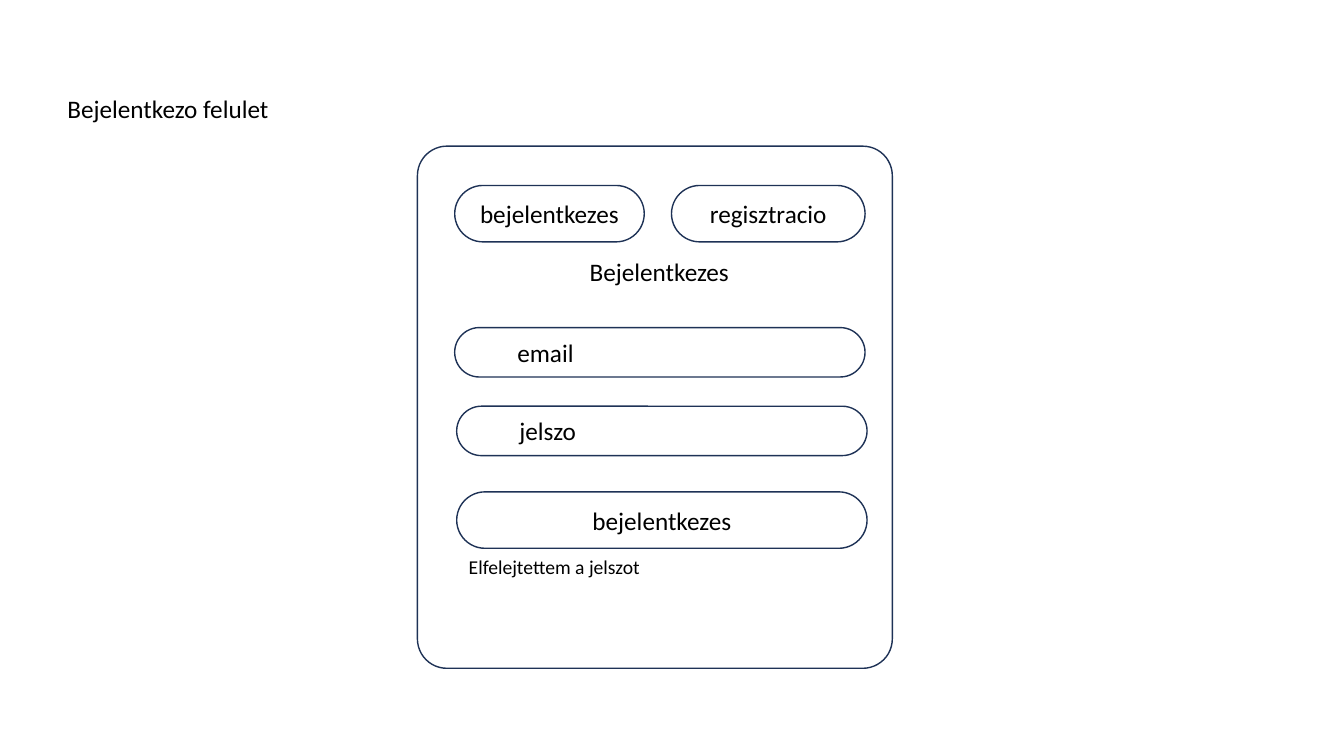
from dataclasses import dataclass

from pptx import Presentation
from pptx.dml.color import RGBColor
from pptx.enum.shapes import MSO_SHAPE
from pptx.enum.text import MSO_ANCHOR, MSO_AUTO_SIZE, PP_ALIGN
from pptx.slide import Slide
from pptx.text.text import TextFrame
from pptx.util import Inches, Pt

ROUNDED = MSO_SHAPE.ROUNDED_RECTANGLE
MIDDLE = MSO_ANCHOR.MIDDLE
FIT_SHAPE = MSO_AUTO_SIZE.SHAPE_TO_FIT_TEXT
LEFT = PP_ALIGN.LEFT
CENTER = PP_ALIGN.CENTER


@dataclass(frozen=True)
class Theme:
    font: str = "Calibri"
    body_size: int = 18
    small_size: int = 14
    line_width: int = 1
    text: RGBColor = RGBColor(0x00, 0x00, 0x00)
    fill: RGBColor = RGBColor(0xFF, 0xFF, 0xFF)
    outline: RGBColor = RGBColor(0x1E, 0x32, 0x56)


THEME = Theme()


@dataclass(frozen=True)
class Box:
    left: float
    top: float
    width: float
    height: float
    text: str = ""
    align: PP_ALIGN = CENTER
    left_margin: float = 0.1
    rounding: float = 0.5


@dataclass(frozen=True)
class Label:
    left: float
    top: float
    width: float
    height: float
    text: str
    size: int = THEME.body_size
    wrap: bool = False


BUTTON_HEIGHT = 0.56
FIELD_HEIGHT = 0.49
FULL_WIDTH = 4.07
FIELD_MARGIN = 0.55

BOXES = [
    Box(4.14, 1.45, 4.71, 5.18, rounding=0.062),
    Box(4.51, 1.84, 1.88, BUTTON_HEIGHT, "bejelentkezes"),
    Box(6.66, 1.84, 1.92, BUTTON_HEIGHT, "regisztracio"),
    Box(4.51, 3.25, FULL_WIDTH, FIELD_HEIGHT, "email", LEFT, FIELD_MARGIN),
    Box(4.53, 4.03, FULL_WIDTH, FIELD_HEIGHT, "jelszo", LEFT, FIELD_MARGIN),
    Box(4.53, 4.88, FULL_WIDTH, BUTTON_HEIGHT, "bejelentkezes"),
]

LABELS = [
    Label(0.57, 0.88, 2.22, 0.4, "Bejelentkezo felulet"),
    Label(5.75, 2.49, 1.6, 0.4, "Bejelentkezes"),
    Label(4.55, 5.46, 2.52, 0.34, "Elfelejtettem a jelszot", THEME.small_size, True),
]


def write_text(text_frame: TextFrame, text: str, size: int, align: PP_ALIGN) -> None:
    text_frame.text = text
    paragraph = text_frame.paragraphs[0]
    paragraph.alignment = align
    for run in paragraph.runs:
        run.font.name = THEME.font
        run.font.size = Pt(size)
        run.font.color.rgb = THEME.text


def add_box(slide: Slide, box: Box) -> None:
    shape = slide.shapes.add_shape(
        ROUNDED, Inches(box.left), Inches(box.top), Inches(box.width), Inches(box.height)
    )
    shape.adjustments[0] = box.rounding
    shape.shadow.inherit = False
    shape.fill.solid()
    shape.fill.fore_color.rgb = THEME.fill
    shape.line.color.rgb = THEME.outline
    shape.line.width = Pt(THEME.line_width)
    if box.text:
        text_frame = shape.text_frame
        text_frame.vertical_anchor = MIDDLE
        text_frame.margin_left = Inches(box.left_margin)
        write_text(text_frame, box.text, THEME.body_size, box.align)


def add_label(slide: Slide, label: Label) -> None:
    text_box = slide.shapes.add_textbox(
        Inches(label.left), Inches(label.top), Inches(label.width), Inches(label.height)
    )
    text_frame = text_box.text_frame
    text_frame.word_wrap = label.wrap
    text_frame.auto_size = FIT_SHAPE
    write_text(text_frame, label.text, label.size, LEFT)


def main() -> None:
    presentation = Presentation()
    presentation.slide_width = Inches(13.33)
    presentation.slide_height = Inches(7.5)
    slide = presentation.slides.add_slide(presentation.slide_layouts[6])
    for box in BOXES:
        add_box(slide, box)
    for label in LABELS:
        add_label(slide, label)
    presentation.save("out.pptx")


if __name__ == "__main__":
    main()
